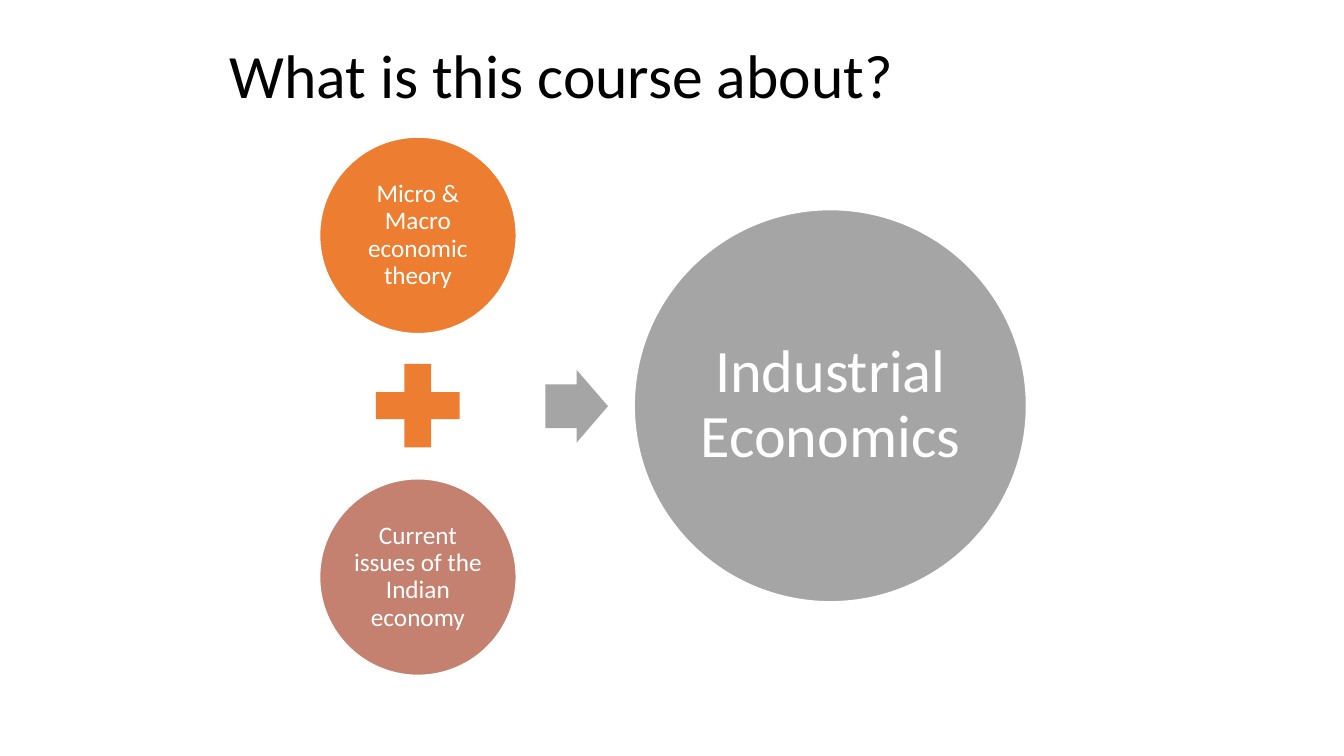
from pptx import Presentation
from pptx.dml.color import RGBColor
from pptx.enum.shapes import MSO_SHAPE as SHAPE
from pptx.enum.text import MSO_ANCHOR as ANCHOR, PP_ALIGN as ALIGN
from pptx.util import Inches, Pt

BLACK = RGBColor(0x00, 0x00, 0x00)
WHITE = RGBColor(0xFF, 0xFF, 0xFF)
ORANGE = RGBColor(0xED, 0x7D, 0x31)
ROSE = RGBColor(0xC4, 0x81, 0x70)
GRAY = RGBColor(0xA5, 0xA5, 0xA5)


class SlideBuilder:
    """Holds the text style and the slide being built."""

    font = "Calibri"
    line_spacing = 0.9

    def __init__(self, slide):
        self.slide = slide

    def label(self, sp, text, size, color, align, inset):
        tf = sp.text_frame
        frame = {"word_wrap": True, "vertical_anchor": ANCHOR.MIDDLE}
        for side in ("left", "top", "right", "bottom"):
            frame[f"margin_{side}"] = Inches(inset)
        p = tf.paragraphs[0]
        r = p.add_run()
        r.text = text
        r.font.color.rgb = color
        formats = (
            (tf, frame),
            (p, {"alignment": align, "line_spacing": self.line_spacing}),
            (r.font, {"name": self.font, "size": Pt(size)}),
        )
        for target, values in formats:
            for name, value in values.items():
                setattr(target, name, value)

    def title(self, text, x, y, w, h):
        sp = self.slide.shapes.add_textbox(*map(Inches, (x, y, w, h)))
        self.label(sp, text, 44, BLACK, ALIGN.LEFT, 0.1)

    def shape(self, kind, x, y, w, h, fill):
        sp = self.slide.shapes.add_shape(kind, *map(Inches, (x, y, w, h)))
        sp.shadow.inherit = False
        sp.fill.solid()
        sp.fill.fore_color.rgb = fill
        sp.line.fill.background()
        return sp

    def circle(self, text, x, y, diameter, fill, size, inset):
        sp = self.shape(SHAPE.OVAL, x, y, diameter, diameter, fill)
        sp.line.color.rgb = WHITE
        sp.line.width = Pt(1)
        self.label(sp, text, size, WHITE, ALIGN.CENTER, inset)


def main():
    prs = Presentation()
    prs.slide_width, prs.slide_height = Inches(13.33), Inches(7.5)
    s = SlideBuilder(prs.slides.add_slide(prs.slide_layouts[6]))

    s.title("What is this course about?", 2.18, 0.26, 9.02, 1.03)

    # Two inputs joined by a plus sign
    inputs = (
        ("Micro & Macro economic theory", 1.36, ORANGE),
        ("Current issues of the Indian economy", 4.75, ROSE),
    )
    for text, y, fill in inputs:
        s.circle(text, 3.17, y, 1.95, fill, 18, 0.03)
    s.shape(SHAPE.MATH_PLUS, 3.58, 3.46, 1.13, 1.13, ORANGE)

    # Arrow to the result
    arrow = s.shape(SHAPE.RIGHT_ARROW, 5.41, 3.67, 0.62, 0.72, GRAY)
    arrow.adjustments[0] = 0.6
    s.circle("Industrial Economics", 6.29, 2.08, 3.89, GRAY, 43, 0.06)

    prs.save("out.pptx")


if __name__ == "__main__":
    main()
